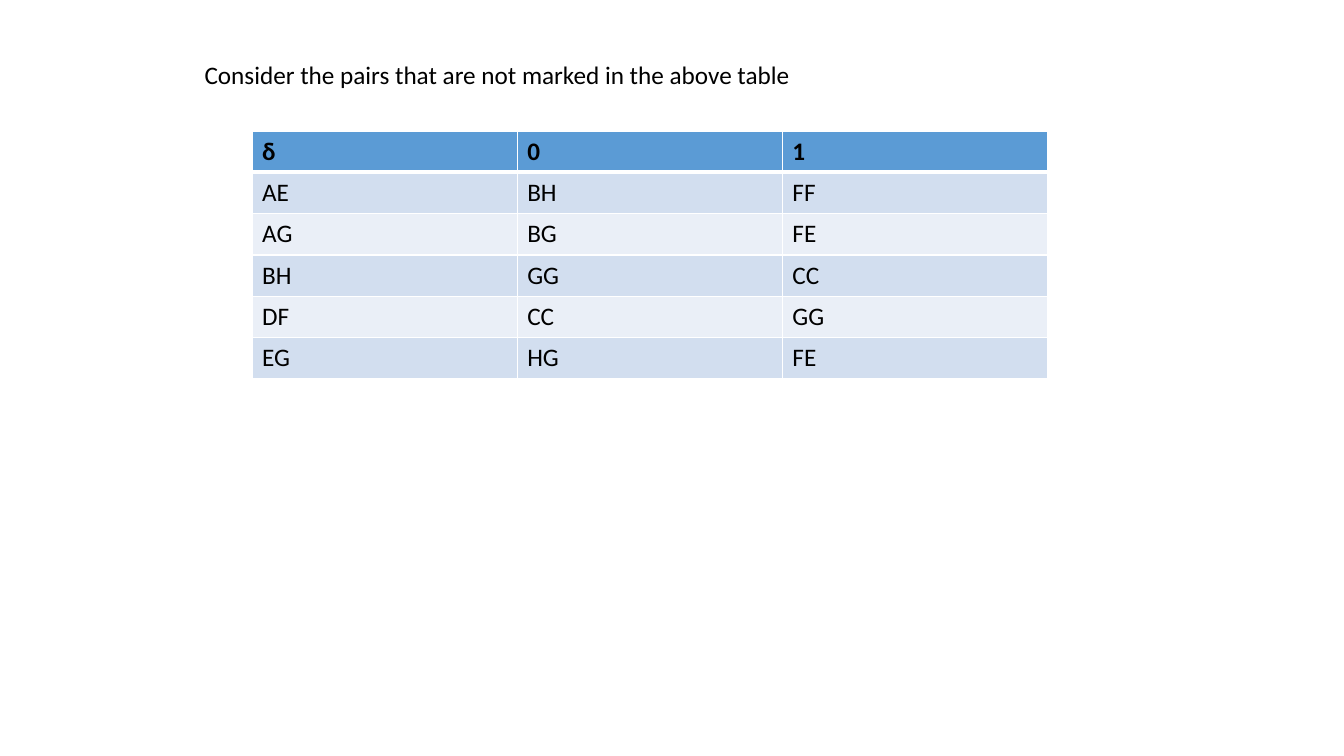
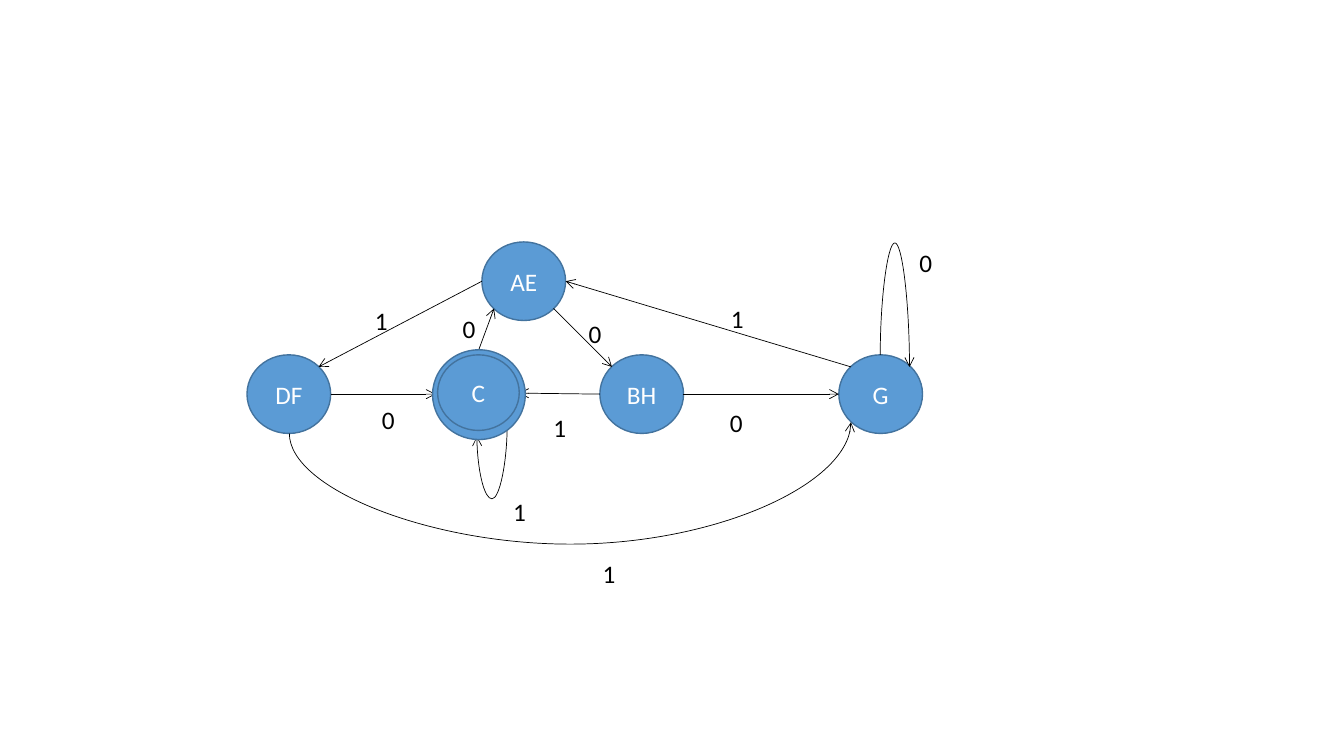
"""Build two slides on DFA minimisation: the unmarked pairs and the minimised automaton."""
from dataclasses import dataclass
from typing import Optional

from lxml.etree import SubElement
from pptx import Presentation
from pptx.dml.color import RGBColor
from pptx.enum.shapes import MSO_CONNECTOR, MSO_SHAPE
from pptx.enum.text import MSO_ANCHOR, PP_ALIGN
from pptx.oxml.ns import qn
from pptx.util import Inches, Pt

COLORS = {
    "text": "000000",
    "light": "FFFFFF",
    "accent": "5B9BD5",
    "outline": "43739E",
    "band_dark": "D2DEEF",
    "band_light": "EAEFF7",
}
FONT = "Calibri"
STATE_SIZE = (0.83, 0.78)
LABEL_HEIGHT = 0.4
COLUMN_WIDTH = 2.63
ROW_HEIGHT = 0.41

PAIR_ROWS = [
    ("δ", "0", "1"),
    ("AE", "BH", "FF"),
    ("AG", "BG", "FE"),
    ("BH", "GG", "CC"),
    ("DF", "CC", "GG"),
    ("EG", "HG", "FE"),
]


@dataclass(frozen=True)
class State:
    name: str
    left: float
    top: float
    width: float = STATE_SIZE[0]
    height: float = STATE_SIZE[1]


@dataclass(frozen=True)
class Transition:
    start: tuple[float, float]
    end: tuple[float, float]
    symbol: str
    label_at: tuple[float, float]
    label_width: float
    reach: Optional[float] = None


STATES = [
    State("AE", 4.78, 2.4),
    State("DF", 2.45, 3.52),
    State("BH", 5.95, 3.52),
    State("G", 8.32, 3.52),
]
FINAL_STATE_RINGS = [
    State("", 4.29, 3.47, 0.92, 0.89),
    State("C", 4.34, 3.52, 0.81, 0.75),
]
TRANSITIONS = [
    Transition((4.78, 2.79), (3.16, 3.64), "1", (3.62, 2.98), 0.25),
    Transition((4.73, 3.52), (4.9, 3.06), "0", (4.49, 3.06), 0.24),
    Transition((5.95, 3.91), (5.15, 3.9), "1", (5.39, 4.04), 0.43),
    Transition((5.49, 3.06), (6.07, 3.64), "0", (5.74, 3.11), 0.3),
    Transition((8.44, 3.64), (5.61, 2.79), "1", (7.15, 2.96), 0.48),
    Transition((6.77, 3.91), (8.32, 3.91), "0", (7.14, 3.99), 0.39),
    Transition((3.28, 3.91), (4.32, 3.91), "0", (3.69, 3.96), 0.32),
    Transition((2.87, 4.3), (8.44, 4.19), "1", (5.88, 5.49), 0.47, reach=5.4),
    Transition((5.03, 4.22), (4.73, 4.33), "1", (4.99, 4.87), 0.36, reach=4.95),
    Transition((8.73, 3.52), (9.02, 3.64), "0", (9.02, 2.4), 0.39, reach=2.41),
]


def rgb(key: str) -> RGBColor:
    return RGBColor.from_string(COLORS[key])


def write(frame, text: str, *, color: str = "text", bold: bool = False, align=PP_ALIGN.LEFT) -> None:
    frame.word_wrap = True
    paragraph = frame.paragraphs[0]
    paragraph.alignment = align
    run = paragraph.add_run()
    run.text = text
    run.font.name = FONT
    run.font.size = Pt(18)
    run.font.bold = bold
    run.font.color.rgb = rgb(color)


def add_label(slide, text: str, left: float, top: float, width: float) -> None:
    box = slide.shapes.add_textbox(Inches(left), Inches(top), Inches(width), Inches(LABEL_HEIGHT))
    write(box.text_frame, text)


def add_border(cell, side: str, points: float) -> None:
    border = SubElement(cell._tc.get_or_add_tcPr(), qn(f"a:{side}"), w=str(Pt(points)))
    fill = SubElement(border, qn("a:solidFill"))
    SubElement(fill, qn("a:srgbClr"), val=COLORS["light"])


def add_pair_table(slide, left: float, top: float) -> None:
    columns = len(PAIR_ROWS[0])
    table = slide.shapes.add_table(
        len(PAIR_ROWS), columns, Inches(left), Inches(top),
        Inches(COLUMN_WIDTH * columns), Inches(ROW_HEIGHT * len(PAIR_ROWS)),
    ).table
    for row_index, values in enumerate(PAIR_ROWS):
        header = row_index == 0
        band = "accent" if header else ("band_light", "band_dark")[row_index % 2]
        for column_index, value in enumerate(values):
            cell = table.cell(row_index, column_index)
            add_border(cell, "lnL", 1)
            add_border(cell, "lnR", 1)
            add_border(cell, "lnT", 3 if row_index == 1 else 1)
            add_border(cell, "lnB", 3 if header else 1)
            cell.fill.solid()
            cell.fill.fore_color.rgb = rgb(band)
            write(cell.text_frame, value, bold=header)


def add_state(slide, state: State) -> None:
    circle = slide.shapes.add_shape(
        MSO_SHAPE.OVAL, Inches(state.left), Inches(state.top), Inches(state.width), Inches(state.height)
    )
    circle.shadow.inherit = False
    circle.fill.solid()
    circle.fill.fore_color.rgb = rgb("accent")
    circle.line.color.rgb = rgb("outline")
    circle.line.width = Pt(1)
    if state.name:
        circle.text_frame.vertical_anchor = MSO_ANCHOR.MIDDLE
        write(circle.text_frame, state.name, color="light", align=PP_ALIGN.CENTER)


def bend(connector, transition: Transition) -> None:
    (x1, y1), (x2, y2) = transition.start, transition.end
    width, height = abs(y2 - y1), abs(x2 - x1)
    connector.left = Inches((x1 + x2 - width) / 2)
    connector.top = Inches((y1 + y2 - height) / 2)
    connector.width, connector.height = Inches(width), Inches(height)
    downward = transition.reach > y1
    frame = connector._element.spPr.find(qn("a:xfrm"))
    frame.set("rot", str((90 if downward else 270) * 60000))
    frame.set("flipH", str(int((y2 > y1) != downward)))
    frame.set("flipV", str(int((x2 > x1) == downward)))
    geometry = connector._element.spPr.find(qn("a:prstGeom"))
    guides = geometry.find(qn("a:avLst"))
    if guides is None:
        guides = SubElement(geometry, qn("a:avLst"))
    ratio = round((transition.reach - y1) / (y2 - y1) * 100000)
    SubElement(guides, qn("a:gd"), name="adj1", fmla=f"val {ratio}")


def add_transition(slide, transition: Transition) -> None:
    curved = transition.reach is not None
    connector = slide.shapes.add_connector(
        MSO_CONNECTOR.CURVE if curved else MSO_CONNECTOR.STRAIGHT,
        *map(Inches, transition.start + transition.end),
    )
    if curved:
        bend(connector, transition)
    connector.line.color.rgb = rgb("text")
    connector.line.width = Pt(0.5)
    SubElement(connector.line._get_or_add_ln(), qn("a:tailEnd"), type="arrow")
    SubElement(connector._element.spPr, qn("a:effectLst"))
    add_label(slide, transition.symbol, *transition.label_at, transition.label_width)


def main() -> None:
    deck = Presentation()
    deck.slide_width, deck.slide_height = Inches(13.33), Inches(7.5)
    blank = deck.slide_layouts[6]

    pairs = deck.slides.add_slide(blank)
    add_pair_table(pairs, 2.5, 1.3)
    add_label(pairs, "Consider the pairs that are not marked in the above table", 1.93, 0.54, 8.31)

    automaton = deck.slides.add_slide(blank)
    for state in STATES:
        add_state(automaton, state)
    for transition in TRANSITIONS:
        add_transition(automaton, transition)
    for ring in FINAL_STATE_RINGS:
        add_state(automaton, ring)

    deck.save("out.pptx")


if __name__ == "__main__":
    main()
